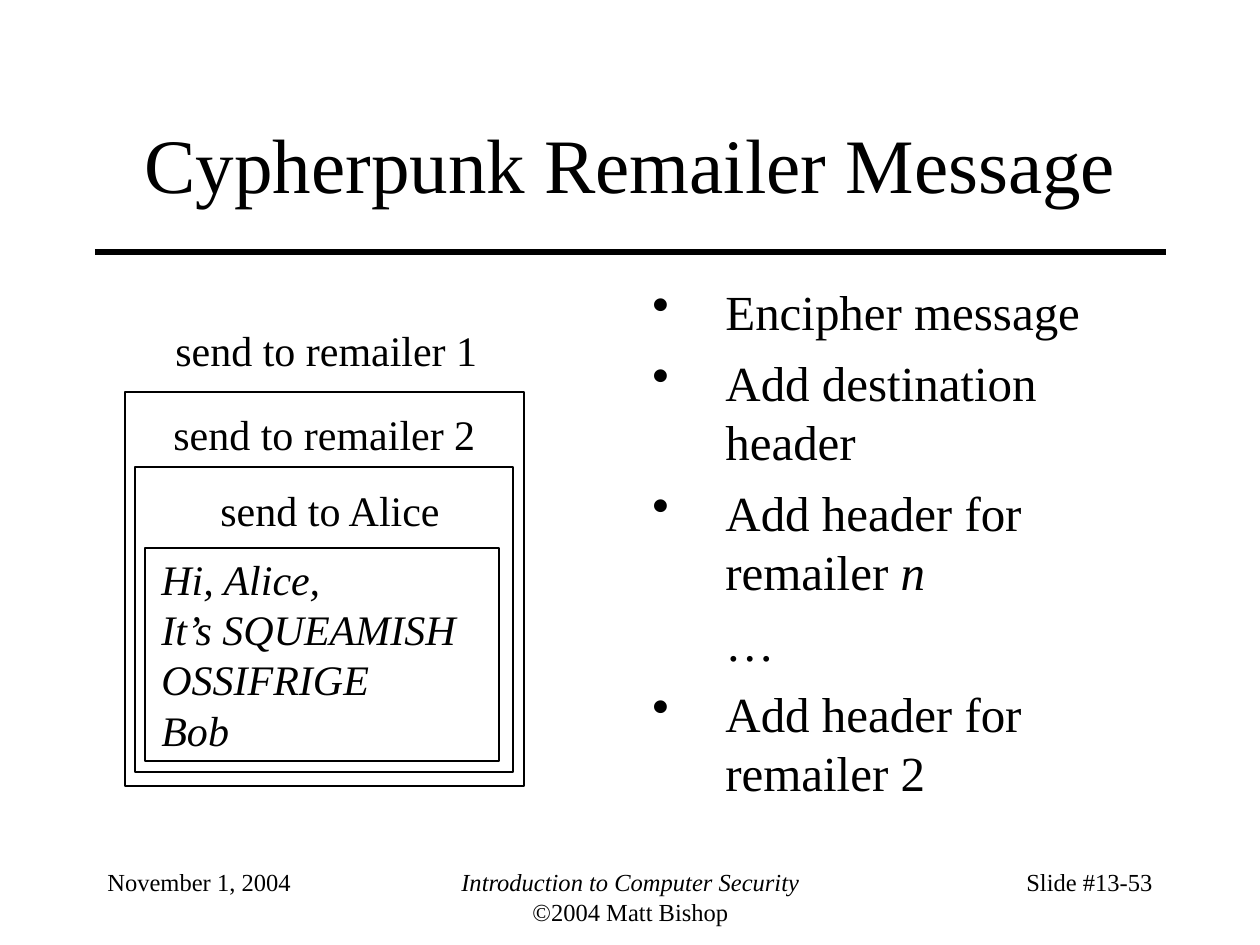
from lxml import etree
from pptx import Presentation
from pptx import util as u
from pptx.dml.color import RGBColor
from pptx.enum import shapes, text
from pptx.oxml.ns import qn

PX = 914400 / 126
INK = "000000"
LEFT, MID, RIGHT = text.PP_ALIGN.LEFT, text.PP_ALIGN.CENTER, text.PP_ALIGN.RIGHT


def paint(color, code):
    color.rgb = RGBColor.from_string(code)


def write(box, lines, size, wrap=True, **form):
    """Add a text box; each line is a list of (words, italic) runs."""
    frame = slide.shapes.add_textbox(*[round(n * PX) for n in box]).text_frame
    frame.word_wrap = wrap
    frame.vertical_anchor = form.pop("anchor", text.MSO_ANCHOR.TOP)
    if not wrap:
        frame.auto_size = text.MSO_AUTO_SIZE.SHAPE_TO_FIT_TEXT
    for i, runs in enumerate(lines):
        para = frame.add_paragraph() if i else frame.paragraphs[0]
        for key, val in form.items():
            setattr(para, key, val)
        for words, slant in runs:
            run = para.add_run()
            run.text = words
            look = {"name": "Times New Roman", "size": u.Pt(size), "italic": slant}
            for key, val in look.items():
                setattr(run.font, key, val)
            paint(run.font.color, INK)
    return frame


deck = Presentation()
deck.slide_width, deck.slide_height = u.Inches(10), u.Inches(7.5)
slide = deck.slides.add_slide(deck.slide_layouts[6])

# Title and rule
write((95, 84, 1071, 158), [[("Cypherpunk Remailer Message", False)]], 44,
      alignment=MID, anchor=text.MSO_ANCHOR.MIDDLE)
ends = [round(n * PX) for n in (95, 252, 1166, 252)]
rule = slide.shapes.add_connector(shapes.MSO_CONNECTOR.STRAIGHT, *ends)
paint(rule.line.color, INK)
rule.line.width = u.Pt(3)
etree.SubElement(rule._element.spPr, qn("a:effectLst"))

# Steps
steps = [
    [("Encipher message", False)],
    [("Add destination header", False)],
    [("Add header for remailer ", False), ("n", True)],
    [("…", False)],
    [("Add header for remailer 2", False)],
]
body = write((640, 275, 525, 567), steps, 28)
hang = round(73 * PX)
for i, para in enumerate(body.paragraphs):
    props = para._p.get_or_add_pPr()
    props.set("marL", str(hang))
    if para.text != "…":
        props.set("indent", str(-hang))
        etree.SubElement(props, qn("a:buChar")).set("char", "•")
    if i:
        para.space_before = u.Pt(7)

# Nested envelopes, inner to outer
for box in [(145, 548, 354, 213), (135, 467, 378, 305), (125, 392, 399, 394)]:
    rect = slide.shapes.add_shape(shapes.MSO_SHAPE.RECTANGLE,
                                  *[round(n * PX) for n in box])
    rect.shadow.inherit = False
    rect.fill.background()
    paint(rect.line.color, INK)
    rect.line.width = u.Pt(0.75)

note = ["Hi, Alice,", "It’s SQUEAMISH", "OSSIFRIGE", "Bob"]
write((149, 547, 325, 214), [[(words, True)] for words in note], 24, wrap=False)
heads = [
    ("send to Alice", (208, 478, 247, 63)),
    ("send to remailer 2", (161, 402, 328, 63)),
    ("send to remailer 1", (163, 318, 328, 63)),
]
for words, box in heads:
    write(box, [[(words, False)]], 24, wrap=False)

# Footer
course = [[("Introduction to Computer Security", True)], [("©2004 Matt Bishop", False)]]
feet = [
    (95, 262, LEFT, [[("November 1, 2004", False)]]),
    (431, 399, MID, course),
    (903, 262, RIGHT, [[("Slide #13-53", False)]]),
]
for left, wide, side, lines in feet:
    write((left, 861, wide, 63), lines, 14, alignment=side)

deck.save("out.pptx")
